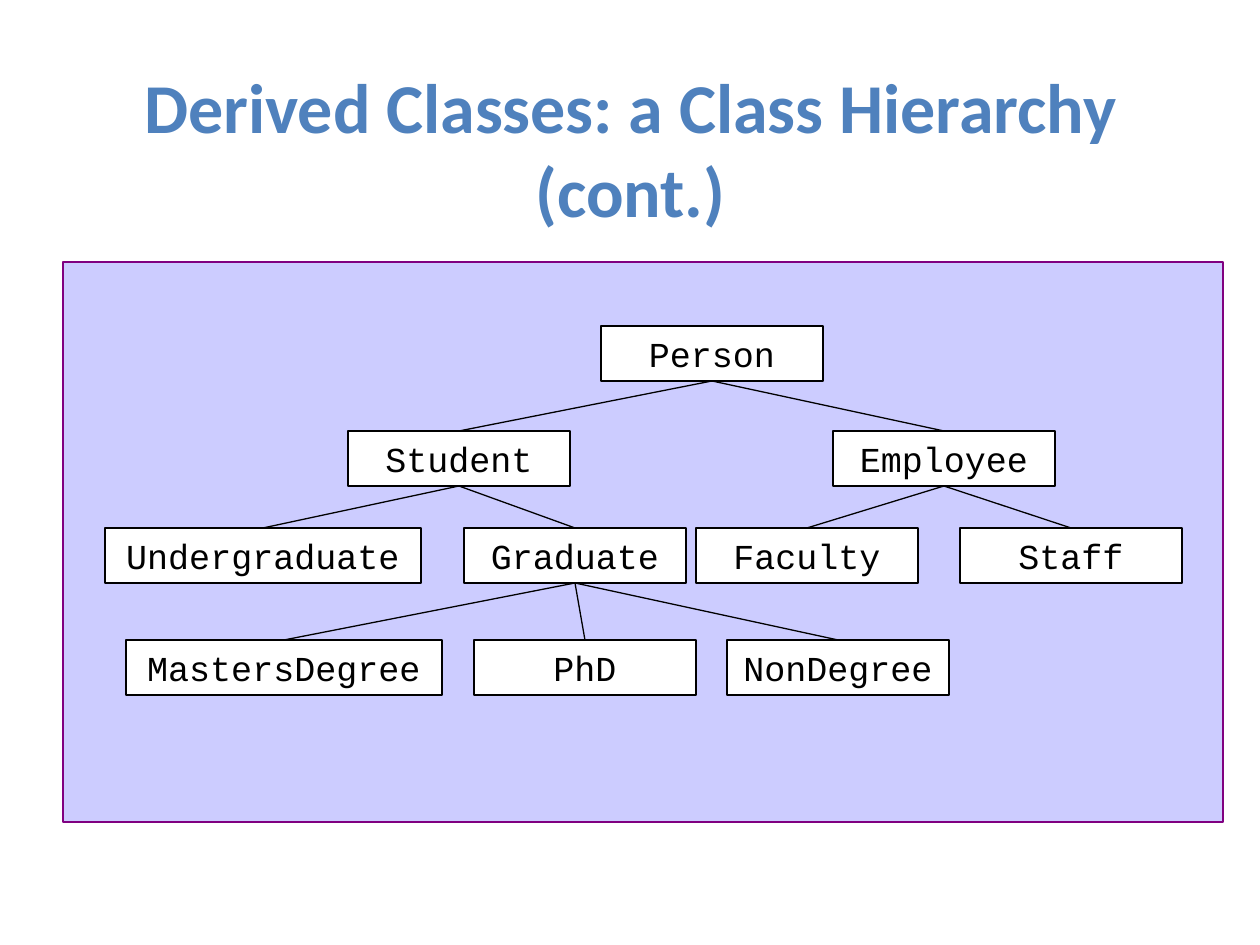
"""Builds a slide with a class hierarchy drawn as a tree of boxes."""
import pptx
import pptx.dml.color
import pptx.enum.shapes
import pptx.enum.text
import pptx.oxml
import pptx.oxml.ns
import pptx.util

RGB = pptx.dml.color.RGBColor
BLUE = RGB(0x4F, 0x81, 0xBD)
LAVENDER = RGB(0xCC, 0xCC, 0xFF)
PURPLE = RGB(0x80, 0x00, 0x80)
BLACK = RGB(0x00, 0x00, 0x00)
WHITE = RGB(0xFF, 0xFF, 0xFF)

LEVEL_TOPS = [326, 431, 528, 640]
BOX_H = 55
BOX_W, WIDE_W = 222, 316
TOP_SITE, BOTTOM_SITE = 0, 2

CLASSES = [
    ("Person", None, 0, 601, BOX_W),
    ("Student", "Person", 1, 348, BOX_W),
    ("Employee", "Person", 1, 833, BOX_W),
    ("Undergraduate", "Student", 2, 105, WIDE_W),
    ("Graduate", "Student", 2, 464, BOX_W),
    ("Faculty", "Employee", 2, 696, BOX_W),
    ("Staff", "Employee", 2, 960, BOX_W),
    ("MastersDegree", "Graduate", 3, 126, WIDE_W),
    ("PhD", "Graduate", 3, 474, BOX_W),
    ("NonDegree", "Graduate", 3, 727, BOX_W),
]


class Deck:
    """Holds the style and the current slide."""

    PX = 914400 / 126
    TITLE_FONT, CODE_FONT = "Calibri", "Courier New"

    def __init__(self, width, height):
        self.prs = pptx.Presentation()
        self.prs.slide_width, self.prs.slide_height = self.emu(width, height)
        self.s = self.prs.slides.add_slide(self.prs.slide_layouts[6])

    def emu(self, *lengths):
        return [pptx.util.Emu(round(n * self.PX)) for n in lengths]

    def add_text(self, sp, text, font, size, color, bold=False):
        tf = sp.text_frame
        tf.word_wrap = True
        tf.vertical_anchor = pptx.enum.text.MSO_ANCHOR.MIDDLE
        p = tf.paragraphs[0]
        p.alignment = pptx.enum.text.PP_ALIGN.CENTER
        r = p.add_run()
        r.text = text
        r.font.name = font
        r.font.size = pptx.util.Pt(size)
        r.font.bold = bold
        r.font.color.rgb = color

    def title(self, text, x, y, w, h):
        sp = self.s.shapes.add_textbox(*self.emu(x, y, w, h))
        self.add_text(sp, text, self.TITLE_FONT, 40, BLUE, bold=True)

    def rect(self, x, y, w, h, fill, line):
        sp = self.s.shapes.add_shape(
            pptx.enum.shapes.MSO_SHAPE.RECTANGLE, *self.emu(x, y, w, h))
        sp.shadow.inherit = False
        sp.fill.solid()
        sp.fill.fore_color.rgb = fill
        sp.line.color.rgb = line
        sp.line.width = pptx.util.Pt(1)
        return sp

    def class_box(self, name, x, y, w, h):
        sp = self.rect(x, y, w, h, WHITE, BLACK)
        self.add_text(sp, name, self.CODE_FONT, 20, BLACK)
        return sp

    def link(self, parent, child):
        c = self.s.shapes.add_connector(
            pptx.enum.shapes.MSO_CONNECTOR.STRAIGHT, 0, 0, 0, 0)
        c.begin_connect(parent, BOTTOM_SITE)
        c.end_connect(child, TOP_SITE)
        c.line.color.rgb = BLACK
        c.line.width = pptx.util.Pt(0.75)
        c._element.spPr.append(
            pptx.oxml.parse_xml(f"<a:effectLst {pptx.oxml.ns.nsdecls('a')}/>"))


def main():
    deck = Deck(1260, 945)
    deck.title("Derived Classes: a Class Hierarchy (cont.)", 95, 53, 1071, 189)
    deck.rect(63, 262, 1160, 560, LAVENDER, PURPLE)
    boxes = {name: deck.class_box(name, x, LEVEL_TOPS[level], w, BOX_H)
             for name, _, level, x, w in CLASSES}
    for name, parent, *_ in CLASSES:
        if parent:
            deck.link(boxes[parent], boxes[name])
    deck.prs.save("out.pptx")


if __name__ == "__main__":
    main()
